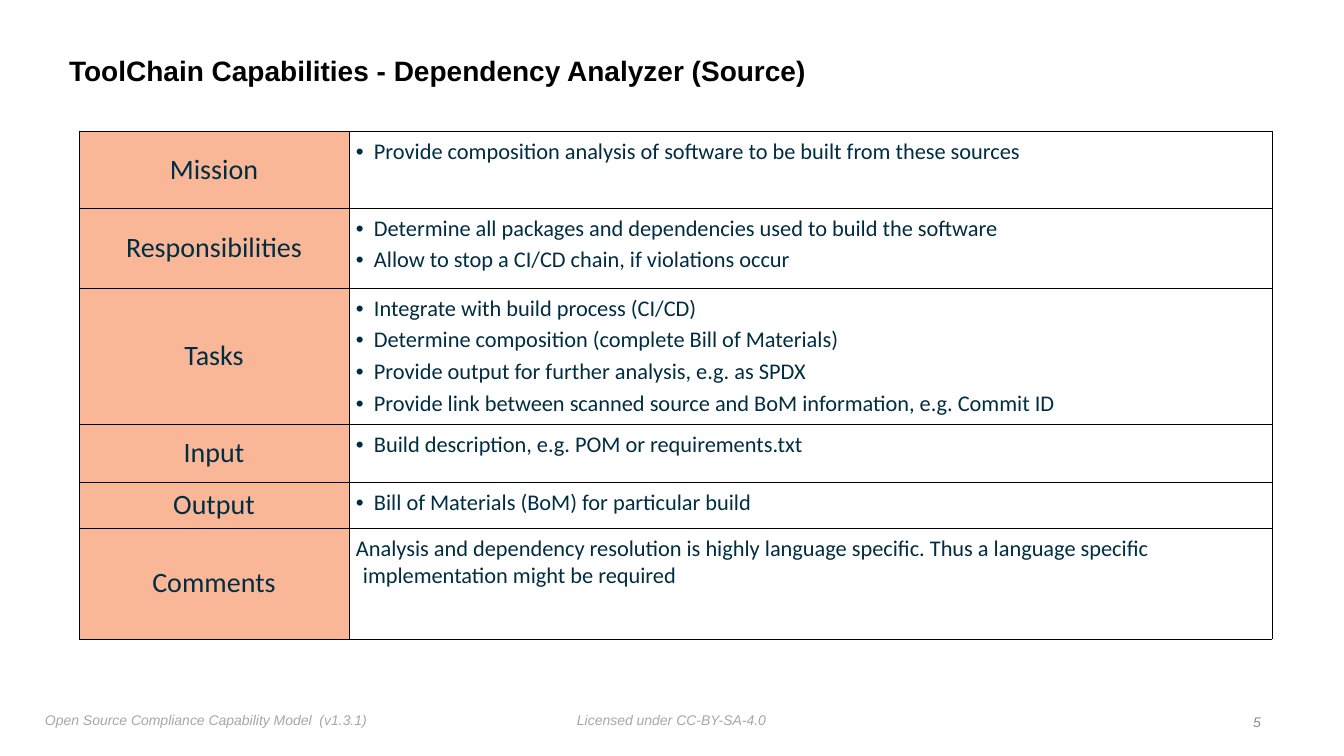
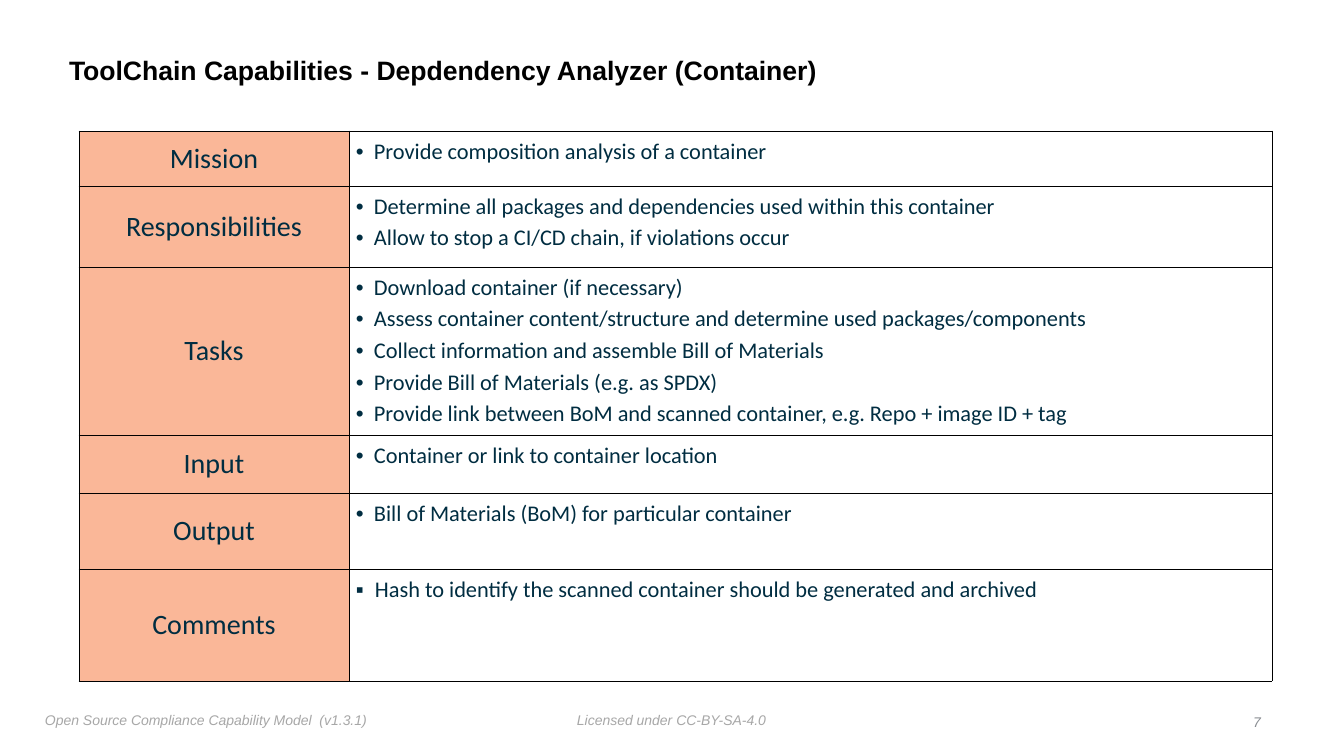
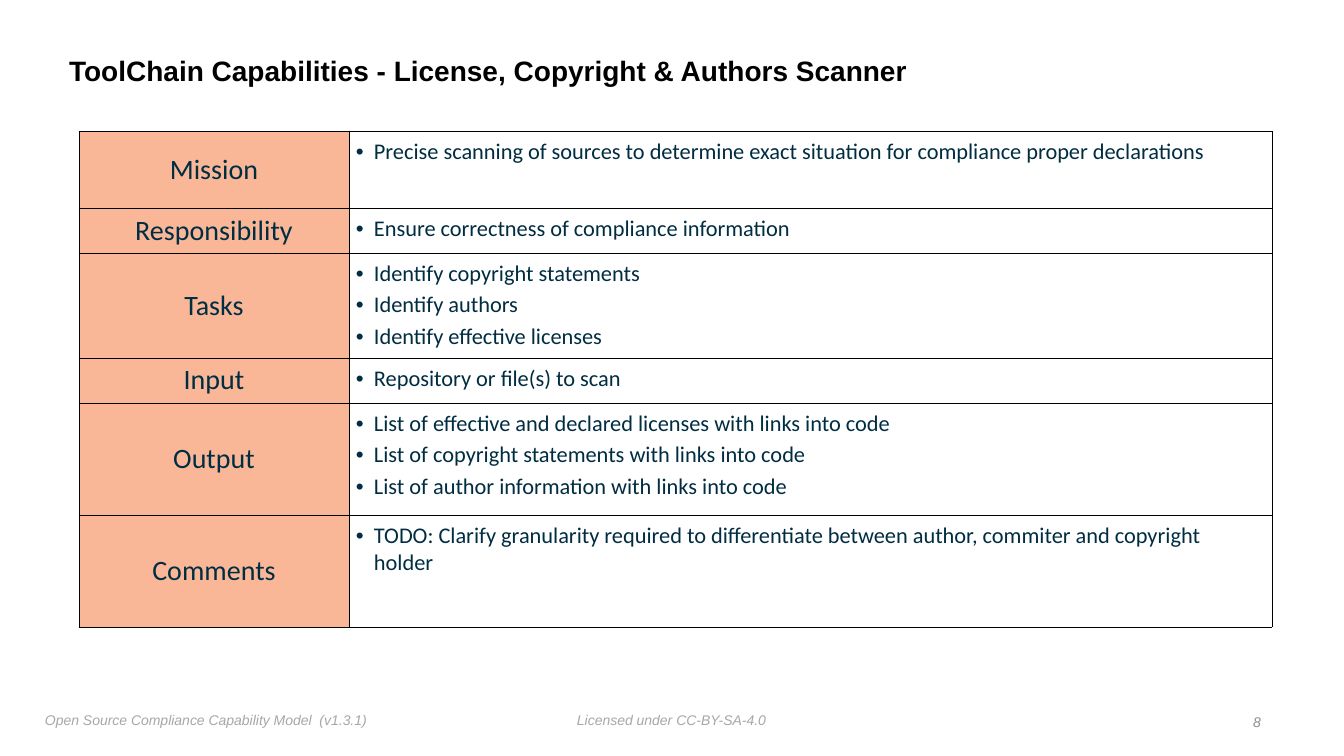
from typing import NamedTuple

from pptx import Presentation
from pptx.dml.color import RGBColor
from pptx.enum.text import MSO_ANCHOR as Anchor, MSO_AUTO_SIZE as AutoSize, PP_ALIGN as Align
from pptx.oxml import parse_xml
from pptx.oxml.ns import nsdecls
from pptx.util import Emu, Pt

SCALE = 914400 / 100.8
TITLE_ONLY = 5
DISC, SQUARE = "\u2022", "\u25aa"
INDENTS = {DISC: 18, SQUARE: 19, None: 7}


class Row(NamedTuple):
    """One capability row: label, height, statements and their bullet."""
    label: str
    height: int
    statements: list
    bullet: str | None = DISC


def px(length):
    """Turn whole pixels into EMU."""
    return Emu(round(length * SCALE))


def color(value):
    """Turn a hex string into a colour."""
    return RGBColor.from_string(value)


class Deck:
    """Holds the shared style and the current slide."""
    heading_font, table_font = "Arial", "Calibri"
    title_color, table_color = "000000", "002D41"
    footer_color, number_color = "A7A7A7", "888C91"
    label_fill, border_color = "FAB798", "000000"
    columns = (270, 923)

    def __init__(self):
        """Start a widescreen presentation."""
        self.prs = Presentation()
        self.prs.slide_width, self.prs.slide_height = px(1344), px(756)
        self.slide = None

    def format_runs(self, paragraph, font, size, ink, bold=False, italic=False):
        """Apply one font setting to every run of a paragraph."""
        for run in paragraph.runs:
            run.font.name, run.font.size = font, Pt(size)
            run.font.bold, run.font.italic = bold, italic
            run.font.color.rgb = color(ink)

    def set_margins(self, holder, margin):
        """Give a text frame or cell four equal margins."""
        holder.margin_left = holder.margin_right = px(margin)
        holder.margin_top = holder.margin_bottom = px(margin)

    def add_slide(self, heading, number, heading_size=20):
        """Add a slide with its title, footers and number."""
        self.slide = self.prs.slides.add_slide(self.prs.slide_layouts[TITLE_ONLY])
        self.footer("Licensed under CC-BY-SA-4.0", 572, 707, 201, 25)
        self.footer("Open Source Compliance Capability Model  (v1.3.1)", 40, 707, 339, 27)
        self.title(heading, heading_size)
        self.page_number(number)

    def title(self, heading, size):
        """Fill and place the title placeholder."""
        title = self.slide.shapes.title
        title.left, title.top, title.width, title.height = map(px, (64, 39, 1084, 66))
        frame = title.text_frame
        frame.text = heading
        frame.word_wrap, frame.auto_size = True, AutoSize.NONE
        frame.vertical_anchor = Anchor.MIDDLE
        self.set_margins(frame, 5)
        line = frame.paragraphs[0]
        line.alignment, line.line_spacing = Align.LEFT, 0.9
        self.format_runs(line, self.heading_font, size, self.title_color, bold=True)

    def footer(self, text, left, top, width, height, ink=footer_color,
               align=Align.LEFT, anchor=Anchor.TOP):
        """Add one small italic line at the bottom."""
        frame = self.slide.shapes.add_textbox(*map(px, (left, top, width, height))).text_frame
        frame.text = text
        frame.word_wrap, frame.auto_size = False, AutoSize.SHAPE_TO_FIT_TEXT
        frame.vertical_anchor = anchor
        self.set_margins(frame, 5)
        line = frame.paragraphs[0]
        line.alignment = align
        self.format_runs(line, self.heading_font, 10, ink, italic=True)

    def page_number(self, number):
        """Add the page number at the bottom right."""
        self.footer(str(number), 1247, 709, 19, 25, self.number_color,
                    Align.RIGHT, Anchor.MIDDLE)

    def capability_table(self, rows):
        """Add the two-column table of labels and statements."""
        height = sum(row.height for row in rows)
        table = self.slide.shapes.add_table(
            len(rows), 2, *map(px, (79, 131, sum(self.columns), height))).table
        table.first_row = table.horz_banding = False
        for column, width in zip(table.columns, self.columns):
            column.width = px(width)
        for index, row in enumerate(rows):
            table.rows[index].height = px(row.height)
            self.label_cell(table.cell(index, 0), row.label)
            self.statement_cell(table.cell(index, 1), row)

    def label_cell(self, cell, label):
        """Fill a coloured cell with a centred label."""
        self.borders(cell)
        cell.fill.solid()
        cell.fill.fore_color.rgb = color(self.label_fill)
        cell.vertical_anchor = Anchor.MIDDLE
        self.set_margins(cell, 0)
        cell.text_frame.text = label
        line = cell.text_frame.paragraphs[0]
        line.alignment = Align.CENTER
        self.format_runs(line, self.table_font, 20, self.table_color)

    def statement_cell(self, cell, row):
        """Fill a plain cell with the statements of a row."""
        self.borders(cell)
        cell.fill.background()
        self.set_margins(cell, 7)
        cell.text_frame.text = "\n".join(row.statements)
        for line in cell.text_frame.paragraphs:
            line.space_before = Pt(3)
            self.hang(line, row.bullet)
            self.format_runs(line, self.table_font, 16, self.table_color)

    def hang(self, line, bullet):
        """Set the hanging indent and the bullet, if any."""
        properties = line._p.get_or_add_pPr()
        indent = px(INDENTS[bullet])
        properties.set("marL", str(indent))
        properties.set("indent", str(-indent))
        if bullet:
            properties.append(parse_xml(f'<a:buFont {nsdecls("a")} typeface="Arial"/>'))
            properties.append(parse_xml(f'<a:buChar {nsdecls("a")} char="{bullet}"/>'))

    def borders(self, cell):
        """Draw a thin line on all four sides of a cell."""
        properties = cell._tc.get_or_add_tcPr()
        for side in "LRTB":
            properties.append(parse_xml(
                f'<a:ln{side} {nsdecls("a")} w="{Pt(0.5)}"><a:solidFill>'
                f'<a:srgbClr val="{self.border_color}"/></a:solidFill></a:ln{side}>'))


deck = Deck()

deck.add_slide("ToolChain Capabilities - Dependency Analyzer (Source)", 5)
deck.capability_table([
    Row("Mission", 77, ["Provide composition analysis of software to be built from these sources"]),
    Row("Responsibilities", 80, [
        "Determine all packages and dependencies used to build the software",
        "Allow to stop a CI/CD chain, if violations occur"]),
    Row("Tasks", 136, [
        "Integrate with build process (CI/CD)",
        "Determine composition (complete Bill of Materials)",
        "Provide output for further analysis, e.g. as SPDX",
        "Provide link between scanned source and BoM information, e.g. Commit ID"]),
    Row("Input", 58, ["Build description, e.g. POM or requirements.txt"]),
    Row("Output", 46, ["Bill of Materials (BoM) for particular build"]),
    Row("Comments", 111, [
        "Analysis and dependency resolution is highly language specific. "
        "Thus a language specific implementation might be required"], None),
])

deck.add_slide("ToolChain Capabilities - Depdendency Analyzer (Container)", 7, heading_size=19)
deck.capability_table([
    Row("Mission", 55, ["Provide composition analysis of a container"]),
    Row("Responsibilities", 81, [
        "Determine all packages and dependencies used within this container",
        "Allow to stop a CI/CD chain, if violations occur"]),
    Row("Tasks", 168, [
        "Download container (if necessary)",
        "Assess container content/structure and determine used packages/components",
        "Collect information and assemble Bill of Materials",
        "Provide Bill of Materials (e.g. as SPDX)",
        "Provide link between BoM and scanned container, e.g. Repo + image ID + tag"]),
    Row("Input", 58, ["Container or link to container location"]),
    Row("Output", 76, ["Bill of Materials (BoM) for particular container"]),
    Row("Comments", 112, [
        "Hash to identify the scanned container should be generated and archived"], SQUARE),
])

deck.add_slide("ToolChain Capabilities - License, Copyright & Authors Scanner", 8)
deck.capability_table([
    Row("Mission", 77, [
        "Precise scanning of sources to determine exact situation "
        "for compliance proper declarations"]),
    Row("Responsibility", 45, ["Ensure correctness of compliance information"]),
    Row("Tasks", 105, [
        "Identify copyright statements",
        "Identify authors",
        "Identify effective licenses"]),
    Row("Input", 45, ["Repository or file(s) to scan"]),
    Row("Output", 112, [
        "List of effective and declared licenses with links into code",
        "List of copyright statements with links into code",
        "List of author information with links into code"]),
    Row("Comments", 112, [
        "TODO: Clarify granularity required to differentiate between author, "
        "commiter and copyright holder"]),
])

deck.prs.save("out.pptx")
